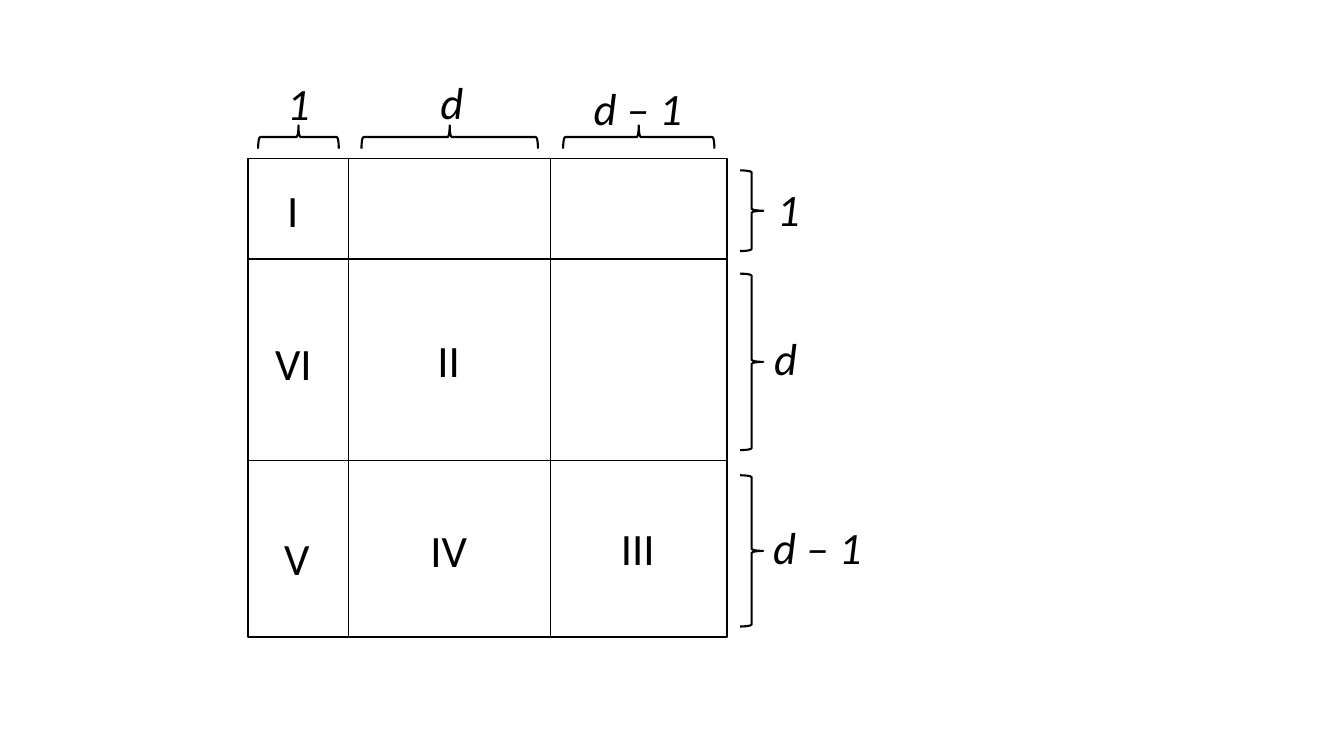
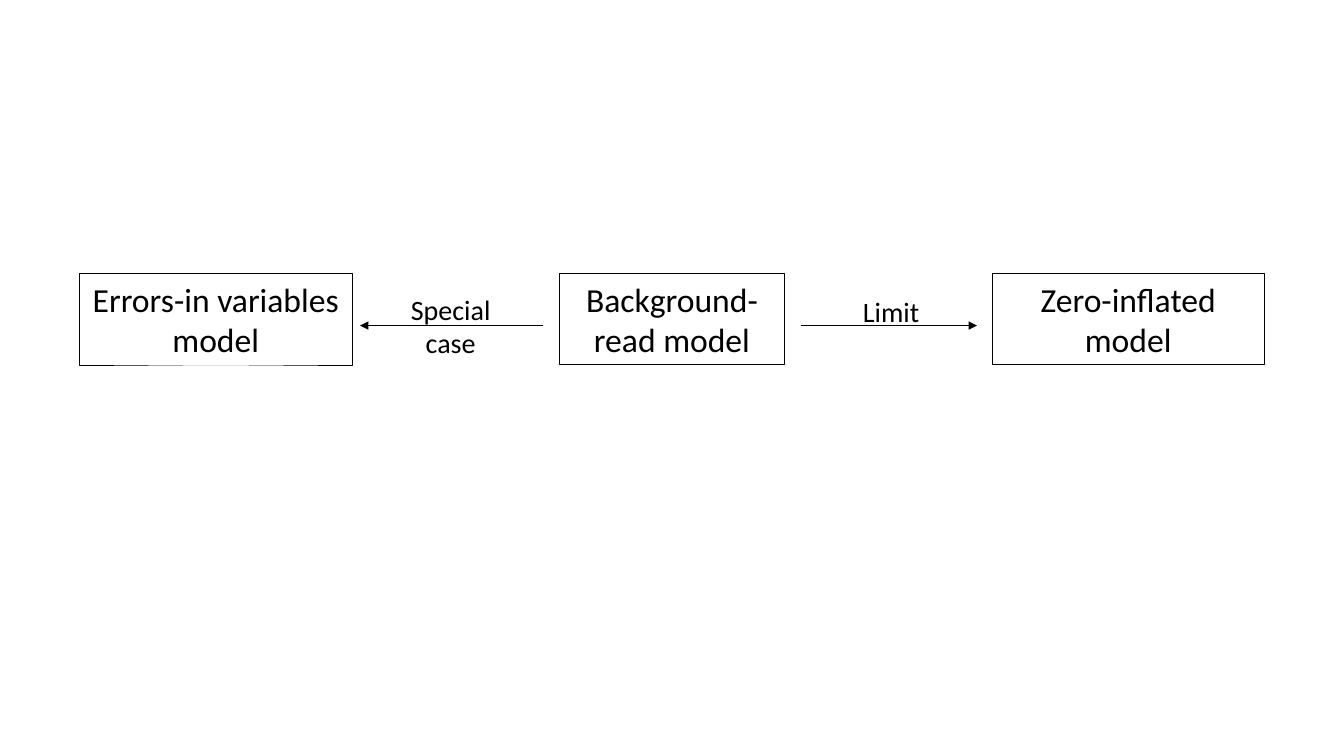
from dataclasses import dataclass
from itertools import accumulate

from lxml.etree import SubElement
from pptx import Presentation
from pptx.dml.color import RGBColor
from pptx.enum.shapes import MSO_CONNECTOR, MSO_SHAPE
from pptx.enum.text import MSO_ANCHOR, MSO_AUTO_SIZE, PP_ALIGN
from pptx.oxml.ns import qn
from pptx.util import Inches, Pt


@dataclass(frozen=True)
class Theme:
    """Colours, font, type sizes and line widths in points."""
    ink: RGBColor = RGBColor(0, 0, 0)
    font: str = "Calibri"
    matrix_size: int = 32
    model_size: int = 24
    arrow_size: int = 20
    cell_line: float = 1
    brace_line: float = 1.5
    arrow_line: float = 1.25


theme = Theme()
prs = Presentation()
prs.slide_width, prs.slide_height = Inches(13.33), Inches(7.5)
blank = prs.slide_layouts[6]


def add_outline(slide, kind, box, weight, rotation=0):
    """Add an unfilled shape with a black outline."""
    outline = slide.shapes.add_shape(kind, *map(Inches, box))
    outline.shadow.inherit = False
    outline.fill.background()
    outline.line.color.rgb = theme.ink
    outline.line.width = Pt(weight)
    outline.rotation = rotation
    return outline


def write(holder, text, size, italic=False, wrap=True, align=PP_ALIGN.LEFT):
    """Write one paragraph per line of text in the shared style."""
    frame = holder.text_frame
    frame.text = text
    frame.word_wrap = wrap
    frame.auto_size = MSO_AUTO_SIZE.SHAPE_TO_FIT_TEXT
    style = {"name": theme.font, "size": Pt(size), "italic": italic}
    for paragraph in frame.paragraphs:
        paragraph.alignment = align
        for key, value in style.items():
            setattr(paragraph.font, key, value)
        paragraph.font.color.rgb = theme.ink


# Slide 1: block matrix with the same division of rows and columns
matrix = prs.slides.add_slide(blank)
left, top = 2.46, 1.57
spans = [1, 2, 1.75]
starts = list(accumulate(spans, initial=0))[:-1]
for row_start, row_span in zip(starts, spans):
    for column_start, column_span in zip(starts, spans):
        cell = (left + column_start, top + row_start, column_span, row_span)
        add_outline(matrix, MSO_SHAPE.RECTANGLE, cell, theme.cell_line)

label_height = 0.64
block_labels = [
    ("I", 2.75, 1.76, 0.32), ("II", 4.24, 3.25, 0.43),
    ("III", 6.06, 5.12, 0.54), ("IV", 4.17, 5.14, 0.57),
    ("V", 2.72, 5.22, 0.46), ("VI", 2.63, 3.28, 0.57),
]
for numeral, x, y, width in block_labels:
    block = matrix.shapes.add_textbox(*map(Inches, (x, y, width, label_height)))
    write(block, numeral, theme.matrix_size, wrap=False)

brace_depth = 0.23
column_brace_y, row_brace_x = 1.36, 7.34
dimensions = [
    ("1", 0.8, 0.38, (2.75, 0.7), (7.61, 1.75)),
    ("d", 1.75, 0.38, (4.27, 0.69), (7.58, 3.23)),
    ("d – 1", 1.5, 1.18, (5.79, 0.75), (7.57, 5.11)),
]
for start, span, dimension in zip(starts, spans, dimensions):
    name, length, width, *label_places = dimension
    middle = start + span / 2
    column_brace = (left + middle - brace_depth / 2,
                    column_brace_y - length / 2, brace_depth, length)
    row_brace = (row_brace_x, top + middle + 0.02 - length / 2,
                 brace_depth, length)
    for brace, rotation in ((column_brace, 90), (row_brace, 180)):
        add_outline(matrix, MSO_SHAPE.LEFT_BRACE, brace, theme.brace_line, rotation)
    for x, y in label_places:
        label = matrix.shapes.add_textbox(*map(Inches, (x, y, width, label_height)))
        write(label, name, theme.matrix_size, italic=True)

# Slide 2: how the three models relate
relations = prs.slides.add_slide(blank)
models = [
    ("Errors-in variables model", 0.79, 2.7, 0.25),
    ("Background-read model", 5.55, 2.23, 0.75),
    ("Zero-inflated model", 9.84, 2.7, 0.75),
]
for name, x, width, weight in models:
    model = add_outline(relations, MSO_SHAPE.RECTANGLE, (x, 2.71, width, 0.91), weight)
    model.text_frame.vertical_anchor = MSO_ANCHOR.MIDDLE
    write(model, name, theme.model_size, align=PP_ALIGN.CENTER)

arrow_y = Inches(3.23)
arrows = [
    ("Special\ncase", 5.39, 3.57, (3.97, 2.85, 1, 0.77), PP_ALIGN.CENTER),
    ("Limit", 7.94, 9.69, (8.46, 2.87, 0.77, 0.44), PP_ALIGN.LEFT),
]
for relation, tail_x, tip_x, box, align in arrows:
    arrow = relations.shapes.add_connector(
        MSO_CONNECTOR.STRAIGHT, Inches(tail_x), arrow_y, Inches(tip_x), arrow_y)
    arrow.line.color.rgb = theme.ink
    arrow.line.width = Pt(theme.arrow_line)
    SubElement(arrow.line._get_or_add_ln(), qn("a:tailEnd"), type="triangle")
    SubElement(arrow._element.spPr, qn("a:effectLst"))
    caption = relations.shapes.add_textbox(*map(Inches, box))
    write(caption, relation, theme.arrow_size, wrap=False, align=align)

prs.save("out.pptx")
